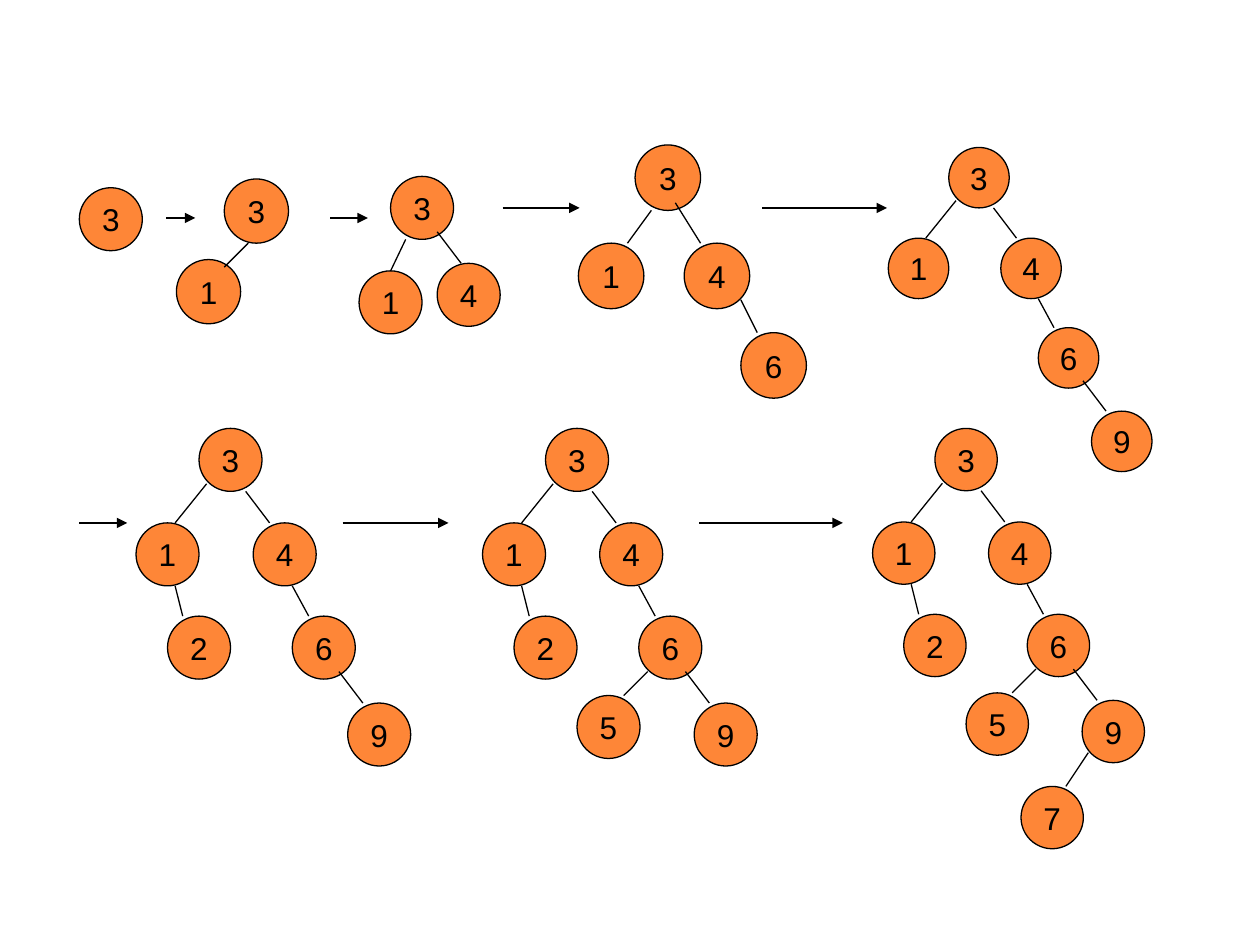
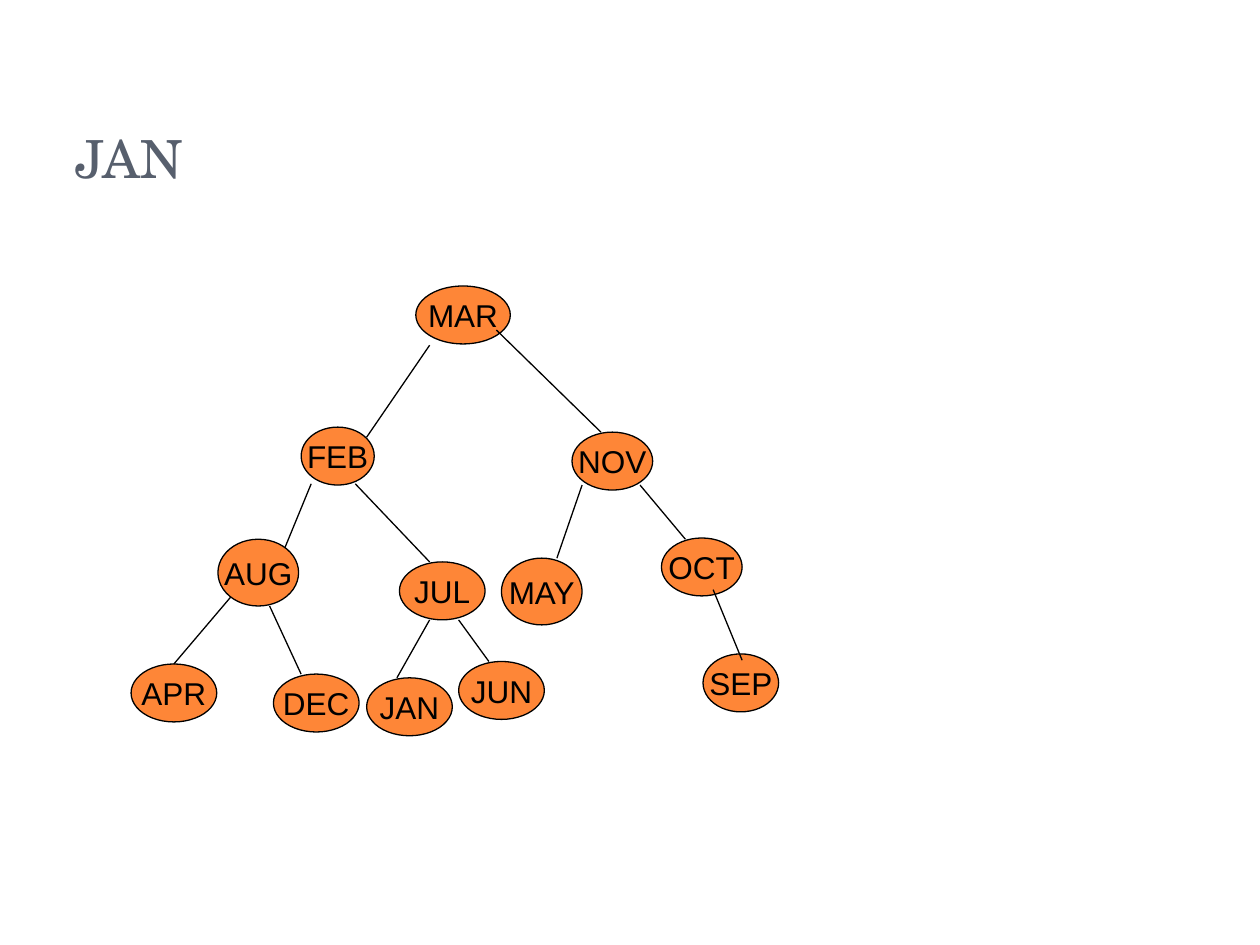
"""Binary search tree slides: step-by-step insertion and a tree of months."""
from lxml import etree
from pptx import Presentation
from pptx.dml.color import RGBColor
from pptx.enum.shapes import MSO_CONNECTOR, MSO_SHAPE
from pptx.enum.text import MSO_ANCHOR, PP_ALIGN
from pptx.oxml.ns import qn
from pptx.util import Emu, Pt

ELLIPSE = MSO_SHAPE.OVAL
STRAIGHT = MSO_CONNECTOR.STRAIGHT
MIDDLE, BOTTOM = MSO_ANCHOR.MIDDLE, MSO_ANCHOR.BOTTOM
CENTER, LEFT = PP_ALIGN.CENTER, PP_ALIGN.LEFT
EMU_PER_PX = 9144
BLANK_LAYOUT = 6

ORANGE, BLACK, SLATE = "FE8637", "000000", "575F6D"
NODE_FONT, TITLE_FONT = "Arial", "TeX Gyre Schola"
LINE_WIDTH = Pt(0.75)

NODE_SIZE = 50
NODE_OFFSETS = {
    "3": (0, 0), "1": (-50, 75), "4": (43, 75), "6": (74, 149),
    "9": (118, 218), "2": (-25, 149), "5": (25, 212), "7": (69, 287),
}
EDGE_OFFSETS = {
    "1": (-19, 75, 6, 44), "4": (37, 50, 56, 75), "6": (74, 125, 87, 149),
    "9": (111, 193, 130, 218), "2": (-19, 125, -13, 149),
    "5": (62, 212, 81, 193), "7": (105, 287, 123, 260),
}
LARGE_TREES = [
    ("31469", 753, 117, 96),
    ("314692", 158, 340, 100),
    ("3146925", 433, 340, 100),
    ("31469257", 742, 340, 99),
]
SMALL_TREES = [
    (50, [("3", 63, 149)], []),
    (51, [("3", 178, 142), ("1", 140, 206)], [(197, 193, 178, 212)]),
    (50, [("3", 310, 140), ("1", 285, 215), ("4", 347, 209)],
     [(322, 190, 310, 215), (347, 184, 366, 209)]),
    (52, [("3", 504, 115), ("1", 459, 193), ("4", 543, 193), ("6", 588, 264)],
     [(498, 193, 517, 167), (556, 193, 536, 161), (601, 264, 588, 238)]),
]
STEP_ARROWS = [
    (132, 155, 173), (262, 292, 173), (399, 460, 165), (605, 704, 165),
    (63, 101, 415), (272, 356, 415), (555, 669, 415),
]
MONTH_NODES = [
    ("MAR", 330, 227, 75, 46), ("FEB", 239, 339, 58, 46),
    ("NOV", 454, 343, 64, 46), ("AUG", 173, 428, 64, 53),
    ("JUL", 317, 446, 68, 46), ("MAY", 398, 443, 64, 53),
    ("OCT", 525, 427, 64, 46), ("APR", 104, 527, 68, 46),
    ("DEC", 217, 535, 68, 46), ("JAN", 291, 538, 68, 46),
    ("JUN", 364, 525, 68, 46), ("SEP", 558, 519, 60, 46),
]
MONTH_EDGES = [
    (341, 274, 291, 347), (394, 262, 477, 343), (247, 384, 226, 435),
    (282, 384, 341, 446), (462, 385, 442, 443), (508, 385, 544, 428),
    (183, 474, 138, 527), (214, 481, 239, 535), (341, 492, 315, 538),
    (364, 492, 388, 525), (566, 468, 589, 524),
]


def px(*lengths):
    """Turn px lengths into a list of EMU lengths."""
    return [Emu(round(length * EMU_PER_PX)) for length in lengths]


def color(code):
    """Turn a hex string into a colour."""
    return RGBColor.from_string(code)


def write(shape, text, font, size, ink, align, anchor, wrap):
    """Put one formatted line of text into a shape."""
    frame = shape.text_frame
    frame.text = text
    frame.word_wrap = wrap
    frame.vertical_anchor = anchor
    para = frame.paragraphs[0]
    para.alignment = align
    span = para.runs[0]
    span.font.name = font
    span.font.size = Pt(size)
    span.font.color.rgb = color(ink)


def add_title(page, text):
    """Add the slide title."""
    box = page.shapes.add_textbox(*px(50, 30, 817, 125))
    write(box, text, TITLE_FONT, 30, SLATE, LEFT, BOTTOM, True)


def add_node(shapes, label, left, top, width, height):
    """Add one labelled tree node."""
    node = shapes.add_shape(ELLIPSE, *px(left, top, width, height))
    node.shadow.inherit = False
    node.fill.solid()
    node.fill.fore_color.rgb = color(ORANGE)
    node.line.color.rgb = color(BLACK)
    node.line.width = LINE_WIDTH
    write(node, label, NODE_FONT, 18, BLACK, CENTER, MIDDLE, False)


def add_line(shapes, x1, y1, x2, y2, arrow=False):
    """Add a thin straight line, with an arrowhead at its end if asked."""
    line = shapes.add_connector(STRAIGHT, *px(x1, y1, x2, y2))
    line.line.color.rgb = color(BLACK)
    line.line.width = LINE_WIDTH
    if arrow:
        etree.SubElement(line.line._get_or_add_ln(), qn("a:tailEnd"), type="triangle")
    etree.SubElement(line._element.spPr, qn("a:effectLst"))


def add_tree(page, nodes, edges):
    """Add a grouped tree from its nodes and edges."""
    shapes = page.shapes.add_group_shape().shapes
    for node in nodes:
        add_node(shapes, *node)
    for edge in edges:
        add_line(shapes, *edge)


def add_large_tree(page, labels, left, top, percent):
    """Add a tree laid out by the shared offsets, scaled around its root."""
    scale = percent / 100
    size = NODE_SIZE * scale
    nodes = []
    for label in labels:
        x, y = NODE_OFFSETS[label]
        nodes.append((label, left + x * scale, top + y * scale, size, size))
    edges = []
    for label in labels[1:]:
        x1, y1, x2, y2 = EDGE_OFFSETS[label]
        edges.append((left + x1 * scale, top + y1 * scale,
                      left + x2 * scale, top + y2 * scale))
    add_tree(page, nodes, edges)


def build_insertion_page(page):
    """Show the tree growing one key at a time."""
    for size, spots, edges in SMALL_TREES:
        add_tree(page, [(*spot, size, size) for spot in spots], edges)
    for tree in LARGE_TREES:
        add_large_tree(page, *tree)
    for start, end, y in STEP_ARROWS:
        add_line(page.shapes, start, y, end, y, arrow=True)


def build_month_page(page):
    """Show the tree of months after inserting JAN."""
    add_title(page, "JAN")
    add_tree(page, MONTH_NODES, MONTH_EDGES)


def main():
    """Build and save the deck."""
    deck = Presentation()
    deck.slide_width, deck.slide_height = px(1000, 750)
    for build in (build_insertion_page, build_month_page):
        build(deck.slides.add_slide(deck.slide_layouts[BLANK_LAYOUT]))
    deck.save("out.pptx")


if __name__ == "__main__":
    main()
